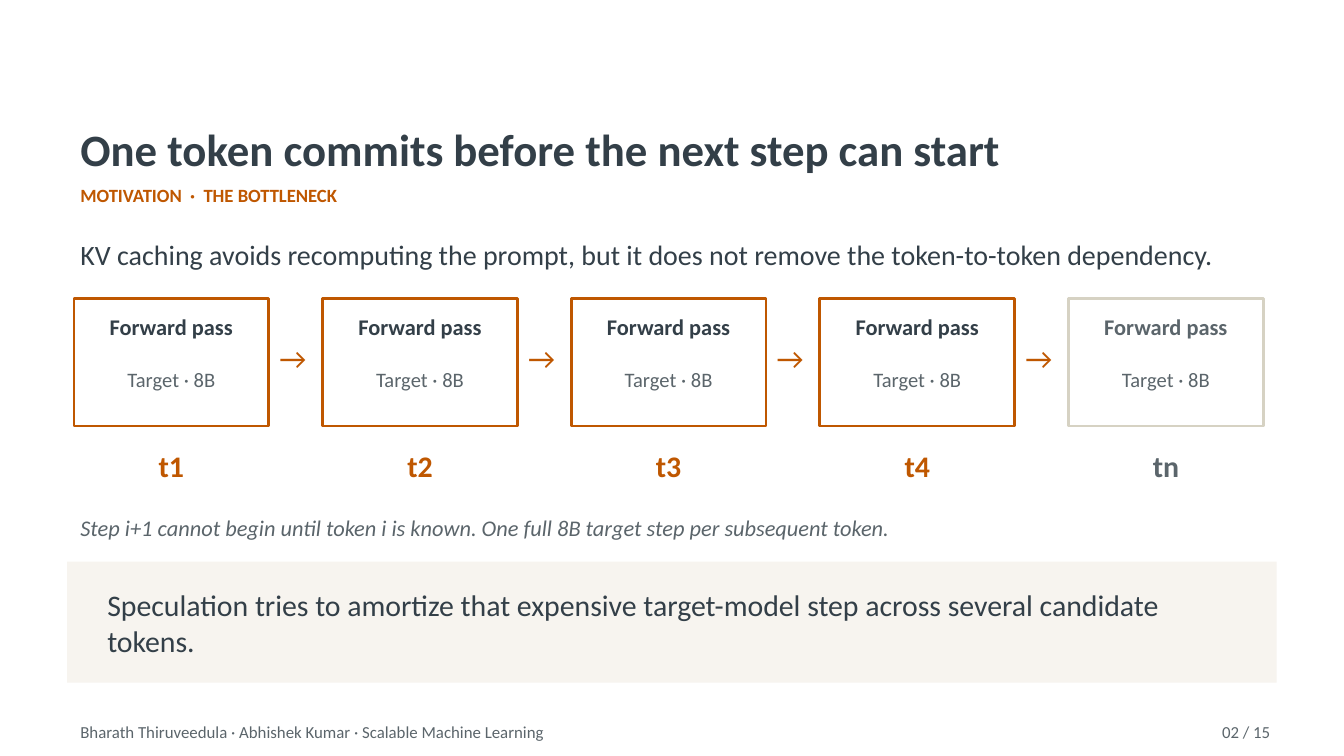
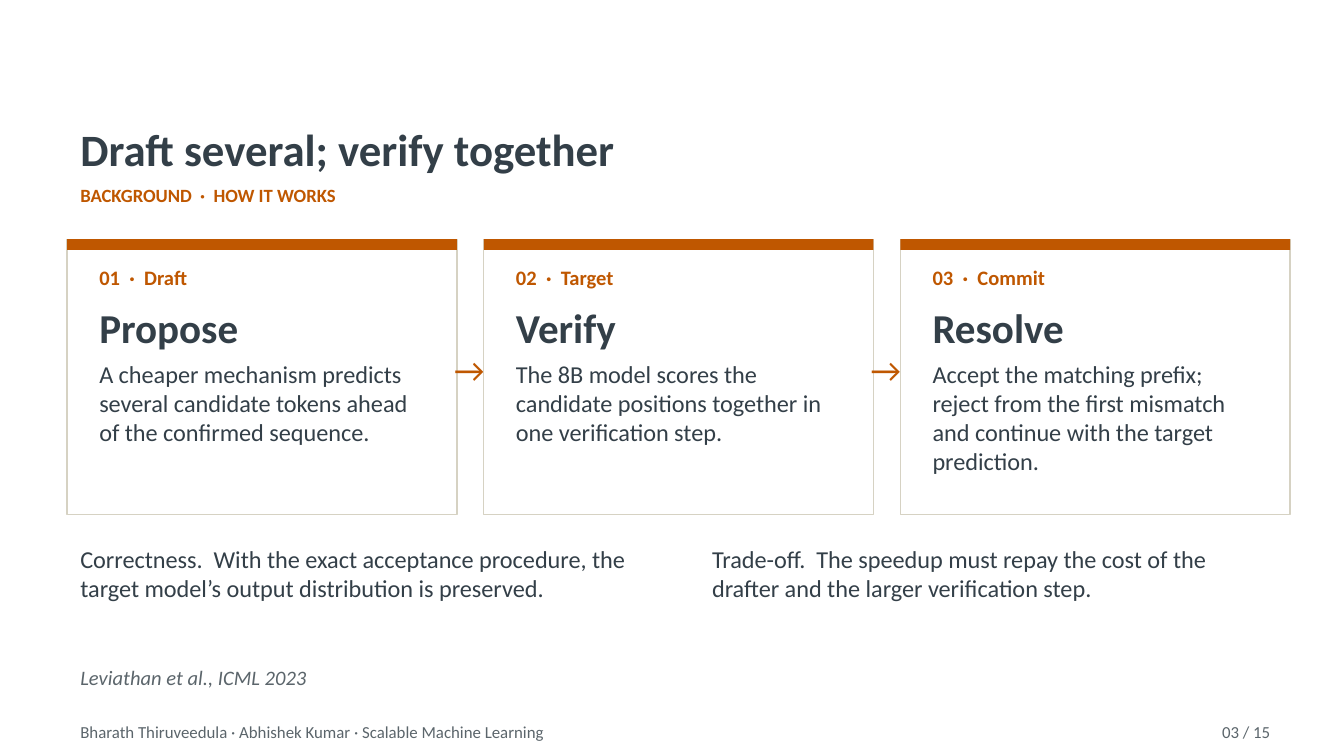
from pptx import Presentation
from pptx.dml.color import RGBColor
from pptx.enum.shapes import MSO_SHAPE
from pptx.enum.text import MSO_ANCHOR, PP_ALIGN
from pptx.util import Emu, Pt

RECT = MSO_SHAPE.RECTANGLE
TOP, MIDDLE = MSO_ANCHOR.TOP, MSO_ANCHOR.MIDDLE
LEFT, CENTER, RIGHT = PP_ALIGN.LEFT, PP_ALIGN.CENTER, PP_ALIGN.RIGHT

PX = 9144
WIDTH = 1000
FONT = "Calibri"
COLORS = {
    "white": "FFFFFF",
    "ink": "333F48",
    "muted": "5B656B",
    "accent": "BF5700",
    "rule": "D6D2C3",
    "panel": "F7F4EF",
}
FOOTER = "Bharath Thiruveedula · Abhishek Kumar · Scalable Machine Learning"
TOTAL = 15


class Deck:
    """Holds the shared style and the current 16:9 slide; lengths are px at 100 to the inch."""

    def __init__(self):
        self.prs = Presentation()
        self.prs.slide_width = Emu(WIDTH * PX)
        self.prs.slide_height = Emu(WIDTH * PX * 9 // 16)
        self.slide = None

    def color(self, name):
        return RGBColor.from_string(COLORS[name])

    def box(self, x, y, w, h):
        return [Emu(v * PX) for v in (x, y, w, h)]

    def style(self, p, size, color, bold=False, italic=False):
        for r in p.runs:
            r.font.name = FONT
            r.font.size = Pt(size)
            r.font.bold = bold
            r.font.italic = italic
            r.font.color.rgb = self.color(color)

    def text(self, x, y, w, h, text, size, color="ink", bold=False,
             italic=False, align=LEFT, anchor=TOP):
        tf = self.slide.shapes.add_textbox(*self.box(x, y, w, h)).text_frame
        tf.word_wrap = True
        tf.vertical_anchor = anchor
        p = tf.paragraphs[0]
        p.text = text
        p.alignment = align
        self.style(p, size, color, bold, italic)
        return tf

    def rect(self, x, y, w, h, fill, line=None, weight=1):
        sp = self.slide.shapes.add_shape(RECT, *self.box(x, y, w, h))
        sp.shadow.inherit = False
        sp.fill.solid()
        sp.fill.fore_color.rgb = self.color(fill)
        if line:
            sp.line.color.rgb = self.color(line)
            sp.line.width = Pt(weight)
        else:
            sp.line.fill.background()

    def arrow(self, x, y, w, size):
        self.text(x, y, w, 30, "→", size, "accent", align=CENTER)

    def new_slide(self, number, title, kicker):
        self.slide = self.prs.slides.add_slide(self.prs.slide_layouts[6])
        tf = self.text(50, 75, 900, 94, title, 24, bold=True, anchor=MIDDLE)
        p = tf.add_paragraph()
        p.text = kicker
        p.space_before = Pt(4)
        self.style(p, 10, "accent", bold=True)
        self.text(50, 532, 680, 22, FOOTER, 9, "muted")
        self.text(855, 532, 100, 22, f"{number:02} / {TOTAL}", 9, "muted", align=RIGHT)

    def step(self, x, token, line, ink, token_color):
        w = 145
        self.rect(x, 222, w, 95, "white", line, 1.5)
        self.text(x, 228, w, 42, "Forward pass", 12, ink, bold=True, align=CENTER)
        self.text(x, 268, w, 36, "Target · 8B", 11, "muted", align=CENTER)
        self.text(x, 328, w, 32, token, 16, token_color, bold=True, align=CENTER)

    def card(self, x, label, heading, body):
        w, pad = 290, 14
        inner = w - 2 * pad
        self.rect(x, 178, w, 205, "white", "rule", 0.75)
        self.rect(x, 178, w, 8, "accent")
        self.text(x + pad, 192, inner, 26, label, 11, "accent", bold=True)
        self.text(x + pad, 220, inner, 40, heading, 22, bold=True)
        self.text(x + pad, 262, inner, 105, body, 13)


def bottleneck(deck):
    deck.new_slide(2, "One token commits before the next step can start",
                   "MOTIVATION  ·  THE BOTTLENECK")
    deck.text(50, 172, 900, 36, "KV caching avoids recomputing the prompt, but it does "
              "not remove the token-to-token dependency.", 15)
    tokens = ["t1", "t2", "t3", "t4", "tn"]
    for i, token in enumerate(tokens):
        x = 55 + 185 * i
        if i < len(tokens) - 1:
            deck.step(x, token, "accent", "ink", "accent")
            deck.arrow(x + 138, 248, 50, 16)
        else:
            deck.step(x, token, "rule", "muted", "muted")
    deck.text(50, 378, 900, 28, "Step i+1 cannot begin until token i is known. "
              "One full 8B target step per subsequent token.", 12, "muted", italic=True)
    deck.rect(50, 418, 900, 90, "panel")
    deck.text(70, 432, 860, 62, "Speculation tries to amortize that expensive "
              "target-model step across several candidate tokens.", 16, anchor=MIDDLE)


def how_it_works(deck):
    deck.new_slide(3, "Draft several; verify together", "BACKGROUND  ·  HOW IT WORKS")
    cards = [
        ("01  ·  Draft", "Propose", "A cheaper mechanism predicts several candidate "
         "tokens ahead of the confirmed sequence."),
        ("02  ·  Target", "Verify", "The 8B model scores the candidate positions "
         "together in one verification step."),
        ("03  ·  Commit", "Resolve", "Accept the matching prefix; reject from the first "
         "mismatch and continue with the target prediction."),
    ]
    for i, card in enumerate(cards):
        x = 50 + 310 * i
        deck.card(x, *card)
        if i < len(cards) - 1:
            deck.arrow(x + 278, 255, 32, 18)
    deck.text(50, 400, 450, 85, "Correctness.  With the exact acceptance procedure, "
              "the target model’s output distribution is preserved.", 13)
    deck.text(520, 400, 430, 85, "Trade-off.  The speedup must repay the cost of the "
              "drafter and the larger verification step.", 13)
    deck.text(50, 490, 900, 28, "Leviathan et al., ICML 2023", 11, "muted", italic=True)


def main():
    deck = Deck()
    bottleneck(deck)
    how_it_works(deck)
    deck.prs.save("out.pptx")


if __name__ == "__main__":
    main()
